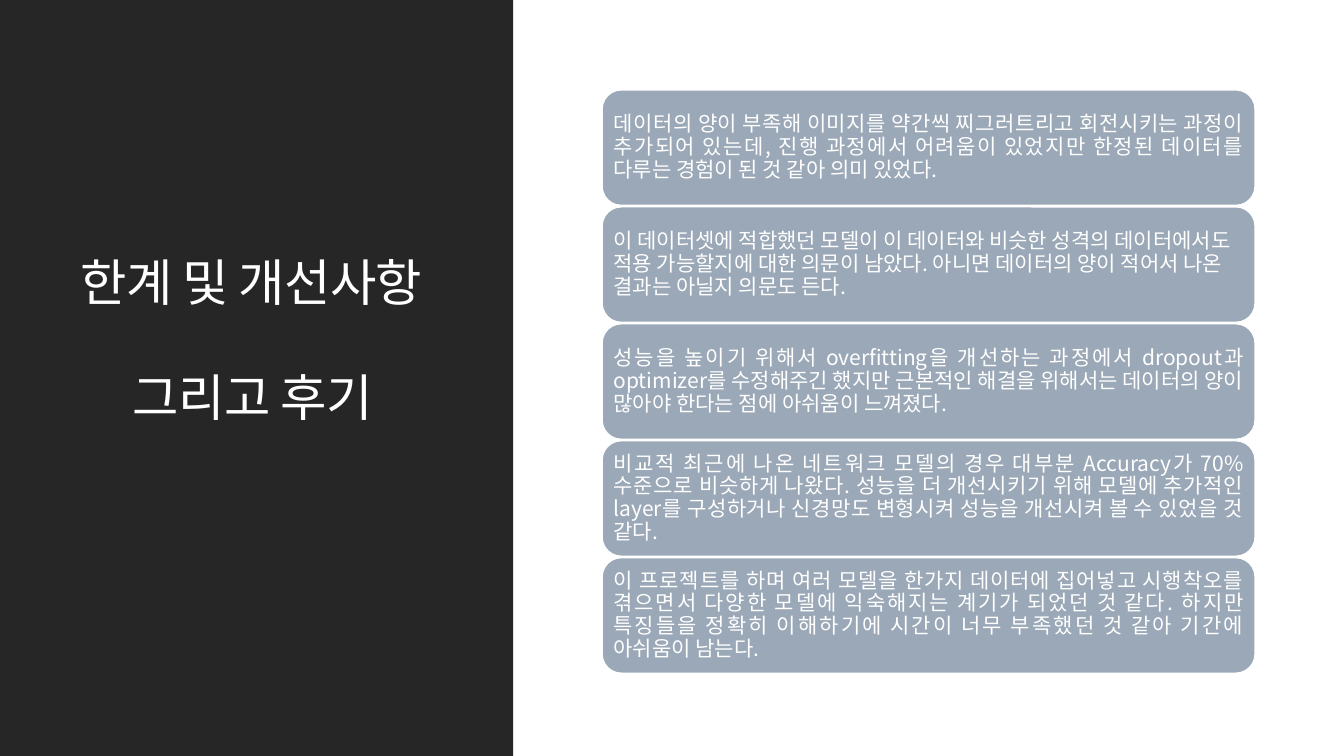
from dataclasses import dataclass

from pptx import Presentation
from pptx.dml.color import RGBColor
from pptx.enum.shapes import MSO_SHAPE as Preset
from pptx.enum.text import MSO_ANCHOR as Anchor, PP_ALIGN as Align
from pptx.oxml.ns import qn
from pptx.oxml.xmlchemy import OxmlElement
from pptx.shapes.autoshape import Shape
from pptx.slide import Slide
from pptx.util import Emu, Inches, Pt

SLIDE_WIDTH, SLIDE_HEIGHT = Inches(13.33), Inches(7.5)
COLUMNS = ROWS = 100

WHITE = RGBColor(0xFF, 0xFF, 0xFF)
CHARCOAL = RGBColor(0x26, 0x26, 0x26)
SLATE = RGBColor(0x9B, 0xA8, 0xB7)
FONT = "Noto Sans CJK KR"

PANEL_COLUMNS = 38.18
HEADING_COLUMNS, HEADING_ROWS = 28.88, 30.53
CARD_LEFT, CARD_TOP = 44.79, 11.87
CARD_COLUMNS, CARD_ROWS, CARD_PITCH = 48.61, 15.33, 15.47


@dataclass(frozen=True)
class Area:
    column: float
    row: float
    columns: float
    rows: float

    def box(self) -> tuple[Emu, Emu, Emu, Emu]:
        return (
            Emu(round(SLIDE_WIDTH * self.column / COLUMNS)),
            Emu(round(SLIDE_HEIGHT * self.row / ROWS)),
            Emu(round(SLIDE_WIDTH * self.columns / COLUMNS)),
            Emu(round(SLIDE_HEIGHT * self.rows / ROWS)),
        )


@dataclass(frozen=True)
class Heading:
    text: str
    column: float
    row: float


@dataclass(frozen=True)
class Reflection:
    text: str
    align: Align = Align.JUSTIFY


HEADINGS = (
    Heading("한계 및 개선사항", 5.25, 11.47),
    Heading("그리고 후기", 9.15, 26.67),
)

REFLECTIONS = (
    Reflection(
        "데이터의 양이 부족해 이미지를 약간씩 찌그러트리고 회전시키는 과정이 추가되어 있는데, "
        "진행 과정에서 어려움이 있었지만 한정된 데이터를 다루는 경험이 된 것 같아 의미 있었다."
    ),
    Reflection(
        "이 데이터셋에 적합했던 모델이 이 데이터와 비슷한 성격의 데이터에서도 적용 가능할지에 대한 "
        "의문이 남았다. 아니면 데이터의 양이 적어서 나온 결과는 아닐지 의문도 든다.",
        Align.LEFT,
    ),
    Reflection(
        "성능을 높이기 위해서 overfitting을 개선하는 과정에서 dropout과 optimizer를 수정해주긴 "
        "했지만 근본적인 해결을 위해서는 데이터의 양이 많아야 한다는 점에 아쉬움이 느껴졌다."
    ),
    Reflection(
        "비교적 최근에 나온 네트워크 모델의 경우 대부분 Accuracy가 70%수준으로 비슷하게 나왔다. "
        "성능을 더 개선시키기 위해 모델에 추가적인 layer를 구성하거나 신경망도 변형시켜 성능을 "
        "개선시켜 볼 수 있었을 것 같다."
    ),
    Reflection(
        "이 프로젝트를 하며 여러 모델을 한가지 데이터에 집어넣고 시행착오를 겪으면서 다양한 모델에 "
        "익숙해지는 계기가 되었던 것 같다. 하지만 특징들을 정확히 이해하기에 시간이 너무 부족했던 "
        "것 같아 기간에 아쉬움이 남는다."
    ),
)


def add_block(slide: Slide, preset: Preset, area: Area, fill: RGBColor) -> Shape:
    block = slide.shapes.add_shape(preset, *area.box())
    block.shadow.inherit = False
    block.fill.solid()
    block.fill.fore_color.rgb = fill
    block.line.fill.background()
    return block


def write(holder: Shape, text: str, size: float, align: Align, anchor: Anchor,
          spacing: float = 0) -> None:
    frame = holder.text_frame
    frame.word_wrap = True
    frame.vertical_anchor = anchor
    paragraph = frame.paragraphs[0]
    paragraph.text = text
    paragraph.alignment = align
    paragraph.line_spacing = 0.9
    font = paragraph.font
    font.size = Pt(size)
    font.color.rgb = WHITE
    font.name = FONT
    defaults = paragraph._p.pPr.find(qn("a:defRPr"))
    if spacing:
        defaults.set("spc", str(round(spacing * 100)))
    east_asian = OxmlElement("a:ea")
    east_asian.set("typeface", FONT)
    defaults.find(qn("a:latin")).addnext(east_asian)


def add_heading(slide: Slide, heading: Heading) -> None:
    area = Area(heading.column, heading.row, HEADING_COLUMNS, HEADING_ROWS)
    title = slide.shapes.add_textbox(*area.box())
    write(title, heading.text, 36, Align.LEFT, Anchor.BOTTOM, spacing=-0.5)


def add_reflection(slide: Slide, index: int, reflection: Reflection) -> None:
    area = Area(CARD_LEFT, CARD_TOP + index * CARD_PITCH, CARD_COLUMNS, CARD_ROWS)
    card = add_block(slide, Preset.ROUNDED_RECTANGLE, area, SLATE)
    card.line.color.rgb = WHITE
    card.line.width = Pt(1.25)
    frame = card.text_frame
    frame.margin_left = frame.margin_right = Inches(0.06)
    frame.margin_top = frame.margin_bottom = Inches(0.06)
    write(card, reflection.text, 15, reflection.align, Anchor.MIDDLE)


def main() -> None:
    presentation = Presentation()
    presentation.slide_width = SLIDE_WIDTH
    presentation.slide_height = SLIDE_HEIGHT
    slide = presentation.slides.add_slide(presentation.slide_layouts[6])
    add_block(slide, Preset.RECTANGLE, Area(0, 0, PANEL_COLUMNS, ROWS), CHARCOAL)
    for heading in HEADINGS:
        add_heading(slide, heading)
    for index, reflection in enumerate(REFLECTIONS):
        add_reflection(slide, index, reflection)
    presentation.save("out.pptx")


if __name__ == "__main__":
    main()
